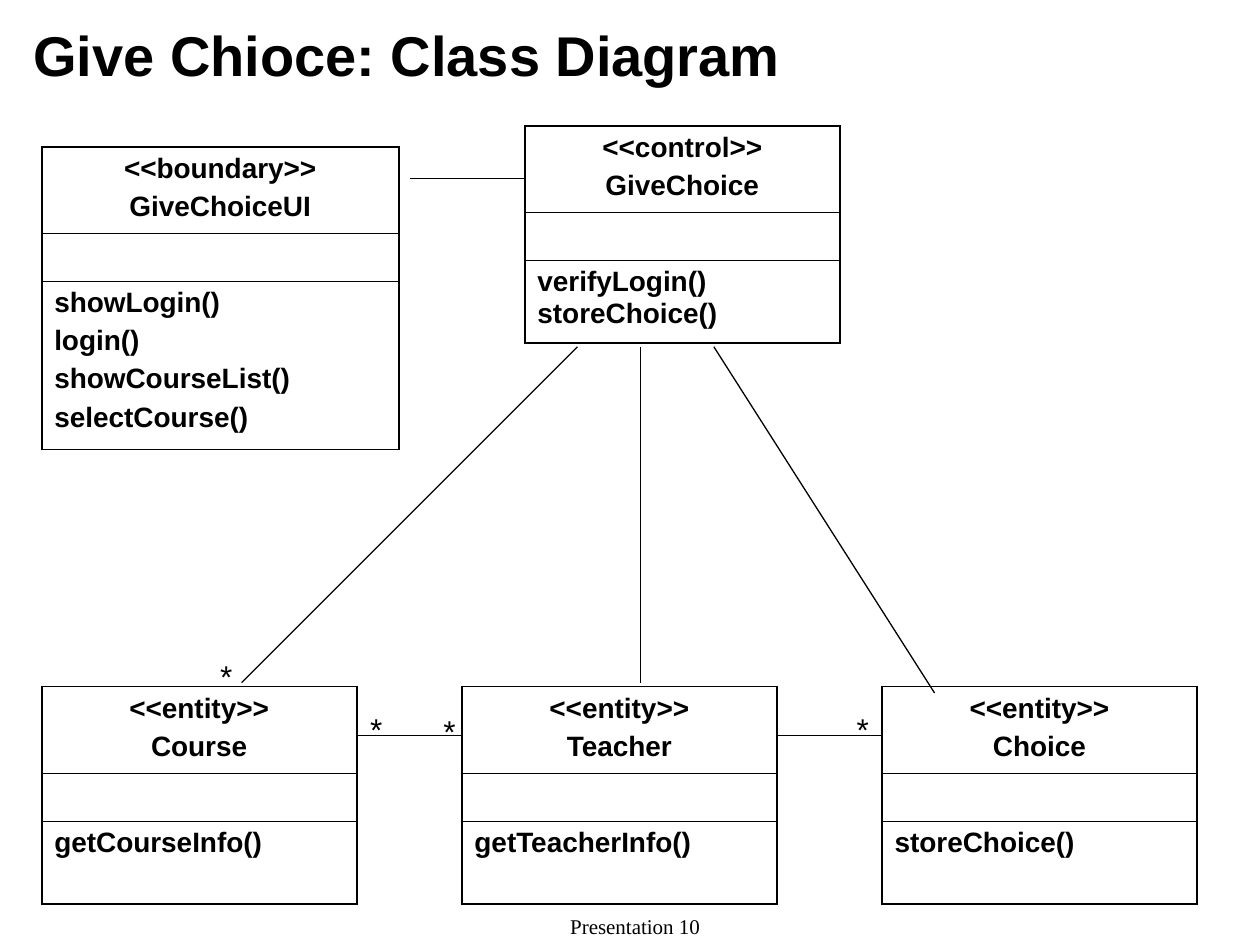
import dataclasses

import pptx
import pptx.dml.color
import pptx.enum.shapes
import pptx.enum.text
import pptx.oxml.ns
import pptx.util
from lxml import etree

Cm = pptx.util.Cm
Pt = pptx.util.Pt
Align = pptx.enum.text.PP_ALIGN
Anchor = pptx.enum.text.MSO_ANCHOR
Fit = pptx.enum.text.MSO_AUTO_SIZE


@dataclasses.dataclass(frozen=True)
class Theme:
    ink: str = "000000"
    paper: str = "FFFFFF"
    sans: str = "Arial"
    serif: str = "Times New Roman"
    title: int = 32
    star: int = 18
    body: int = 16
    foot: int = 12
    gap: int = 4
    frame: float = 1.08
    rule: float = 0.45
    link: float = 0.75


THEME = Theme()
INK = pptx.dml.color.RGBColor.from_string(THEME.ink)


def write(frame, text, size=THEME.body, font=THEME.sans, bold=False,
          align=Align.LEFT, gap=0):
    """Fill a text frame, one paragraph for each line of text."""
    for i, line in enumerate(text.split("\n")):
        para = frame.paragraphs[0] if i == 0 else frame.add_paragraph()
        para.alignment = align
        para.space_before = Pt(gap)
        run = para.add_run()
        run.text = line
        run.font.size = Pt(size)
        run.font.name = font
        run.font.bold = bold
        run.font.color.rgb = INK


def label(slide, text, left, top, width, height, wrap=True,
          anchor=Anchor.TOP, **style):
    box = slide.shapes.add_textbox(Cm(left), Cm(top), Cm(width), Cm(height))
    frame = box.text_frame
    frame.word_wrap = wrap
    frame.auto_size = Fit.NONE if wrap else Fit.SHAPE_TO_FIT_TEXT
    frame.vertical_anchor = anchor
    write(frame, text, **style)


def border(cell, first, last):
    """Heavy lines around the class, thin rules between its parts."""
    props = cell._tc.get_or_add_tcPr()
    widths = {
        "L": THEME.frame,
        "R": THEME.frame,
        "T": THEME.frame if first else THEME.rule,
        "B": THEME.frame if last else THEME.rule,
    }
    for i, (side, width) in enumerate(widths.items()):
        line = etree.Element(pptx.oxml.ns.qn("a:ln" + side), w=str(int(Pt(width))))
        fill = etree.SubElement(line, pptx.oxml.ns.qn("a:solidFill"))
        etree.SubElement(fill, pptx.oxml.ns.qn("a:srgbClr"), val=THEME.ink)
        props.insert(i, line)


def uml(slide, kind, name, calls, left, top, width=6.35, depth=1.67, gap=0):
    """Class box with three parts: name, fields and calls."""
    rows = (1.75, 0.96, depth)
    shape = slide.shapes.add_table(3, 1, Cm(left), Cm(top), Cm(width), Cm(sum(rows)))
    table = shape.table
    table.first_row = table.horz_banding = False
    table.columns[0].width = Cm(width)
    for i, height in enumerate(rows):
        table.rows[i].height = Cm(height)
        cell = table.cell(i, 0)
        cell.fill.background()
        border(cell, i == 0, i == 2)
    head, blank, body = (table.cell(i, 0) for i in range(3))
    blank.margin_top = blank.margin_bottom = 0
    write(head.text_frame, f"<<{kind}>>\n{name}", bold=True,
          align=Align.CENTER, gap=THEME.gap)
    write(body.text_frame, calls, bold=True, gap=gap)


def link(slide, *ends):
    line = slide.shapes.add_connector(
        pptx.enum.shapes.MSO_CONNECTOR.STRAIGHT, *(Cm(end) for end in ends))
    line.line.color.rgb = INK
    line.line.width = Pt(THEME.link)
    etree.SubElement(line._element.spPr, pptx.oxml.ns.qn("a:effectLst"))


def main():
    deck = pptx.Presentation()
    deck.slide_width, deck.slide_height = Cm(25.4), Cm(19.05)
    slide = deck.slides.add_slide(deck.slide_layouts[6])
    slide.background.fill.solid()
    slide.background.fill.fore_color.rgb = pptx.dml.color.RGBColor.from_string(THEME.paper)

    # Footer and title
    label(slide, "Presentation 10", 8.68, 18.41, 8.25, 0.64, anchor=Anchor.BOTTOM,
          size=THEME.foot, font=THEME.serif, align=Align.CENTER)
    label(slide, "Give Chioce: Class Diagram", 0.42, 0.42, 22.86, 1.36,
          anchor=Anchor.MIDDLE, size=THEME.title, bold=True)

    # Upper classes
    uml(slide, "boundary", "GiveChoiceUI",
        "showLogin()\nlogin()\nshowCourseList()\nselectCourse()",
        0.84, 2.96, width=7.2, depth=3.39, gap=THEME.gap)
    uml(slide, "control", "GiveChoice", "verifyLogin()\nstoreChoice()", 10.58, 2.54)

    # Row of entities at equal steps
    left, step, wide, mid = 0.84, 8.47, 6.35, 14.82
    parts = (("Course", "getCourseInfo()"), ("Teacher", "getTeacherInfo()"),
             ("Choice", "storeChoice()"))
    for i, (name, calls) in enumerate(parts):
        uml(slide, "entity", name, calls, left + i * step, 13.84, width=wide)

    # Links between neighbours in the row
    for i in range(len(parts) - 1):
        start = left + i * step
        link(slide, start + wide, mid, start + step, mid)

    # Links from the control class
    link(slide, 8.26, 3.6, 10.58, 3.6)
    for x, end, low in ((11.64, 4.87, 13.76), (12.91, 12.91, 13.76), (14.39, 18.84, 13.97)):
        link(slide, x, 6.99, end, low)

    # Many marks
    for x, y in ((4.19, 13.13), (7.21, 14.18), (8.69, 14.22), (17.02, 14.18)):
        label(slide, "*", x, y, 0.74, 1.02, wrap=False, size=THEME.star)

    deck.save("out.pptx")


if __name__ == "__main__":
    main()
